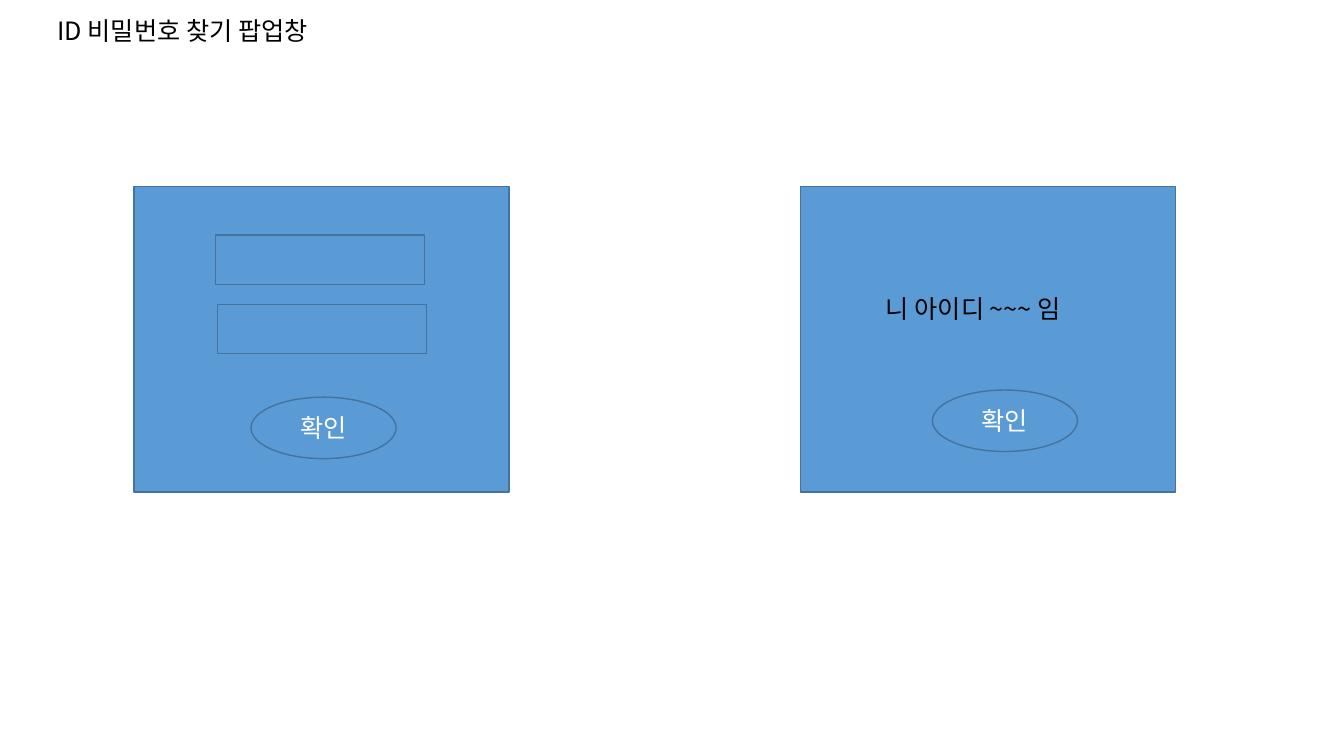
import pptx
import pptx.util
import pptx.dml.color
import pptx.enum.shapes
import pptx.enum.text
import pptx.oxml
import pptx.oxml.ns

Pt = pptx.util.Pt
RGB = pptx.dml.color.RGBColor.from_string
KIND = pptx.enum.shapes.MSO_SHAPE
ALIGN = pptx.enum.text.PP_ALIGN
ANCHOR = pptx.enum.text.MSO_ANCHOR
FIT = pptx.enum.text.MSO_AUTO_SIZE

# Boxes are left, top, width, height in points; popup parts are offsets from the panel.
TITLE = ("ID 비밀번호 찾기 팝업창", (33.8, 7.2, 303.8, 29))
PANEL = (267.8, 218.2)
TOP = 133.2
FIELD = (149, 35.3)
BUTTON = (103.7, 43.9)
POPUPS = [
    {"left": 95.8, "fields": [(58.3, 34.6), (59.7, 84.2)],
     "button": ("확인", (83.5, 150.5))},
    {"left": 571.7, "fields": [], "button": ("확인", (94.3, 145.4)),
     "message": ("니 아이디 ~~~ 임", (54, 72.7, 234, 29))},
]
THEME = {"font": "Noto Sans CJK KR", "size": 18, "fill": "5B9BD5",
         "edge": "43739E", "line": 1, "dark": "000000", "light": "FFFFFF"}


def write(shape, text, color="dark", align=ALIGN.LEFT, anchor=ANCHOR.TOP,
          fit=FIT.NONE):
    frame = shape.text_frame
    frame.word_wrap = True
    frame.auto_size = fit
    frame.vertical_anchor = anchor
    frame.margin_left = frame.margin_right = Pt(7.2)
    frame.margin_top = frame.margin_bottom = Pt(3.6)
    para = frame.paragraphs[0]
    para.alignment = align
    para.line_spacing = 1.0
    run = para.add_run()
    run.text = text
    run.font.name = THEME["font"]
    run.font.size = Pt(THEME["size"])
    run.font.color.rgb = RGB(THEME[color])
    # Korean letters take the East Asian typeface.
    asian = pptx.oxml.parse_xml(
        f'<a:ea {pptx.oxml.ns.nsdecls("a")} typeface="{THEME["font"]}"/>')
    run.font._element.find(pptx.oxml.ns.qn("a:latin")).addnext(asian)


def draw(slide, kind, left, top, width, height):
    shape = slide.shapes.add_shape(
        kind, Pt(left), Pt(top), Pt(width), Pt(height))
    shape.shadow.inherit = False
    shape.fill.solid()
    shape.fill.fore_color.rgb = RGB(THEME["fill"])
    shape.line.color.rgb = RGB(THEME["edge"])
    shape.line.width = Pt(THEME["line"])
    return shape


def popup(slide, left, fields, button, message=None):
    draw(slide, KIND.RECTANGLE, left, TOP, *PANEL)
    label, (x, y) = button
    oval = draw(slide, KIND.OVAL, left + x, TOP + y, *BUTTON)
    write(oval, label, color="light", align=ALIGN.CENTER, anchor=ANCHOR.MIDDLE)
    for x, y in fields:
        draw(slide, KIND.RECTANGLE, left + x, TOP + y, *FIELD)
    if message:
        text, (x, y, width, height) = message
        box = slide.shapes.add_textbox(
            Pt(left + x), Pt(TOP + y), Pt(width), Pt(height))
        write(box, text, fit=FIT.SHAPE_TO_FIT_TEXT)


def main():
    deck = pptx.Presentation()
    deck.slide_width, deck.slide_height = Pt(960), Pt(540)
    slide = deck.slides.add_slide(deck.slide_layouts.get_by_name("Title Only"))
    title = slide.shapes.title
    text, box = TITLE
    title.left, title.top, title.width, title.height = map(Pt, box)
    write(title, text, fit=FIT.SHAPE_TO_FIT_TEXT)
    for item in POPUPS:
        popup(slide, **item)
    deck.save("out.pptx")


if __name__ == "__main__":
    main()
